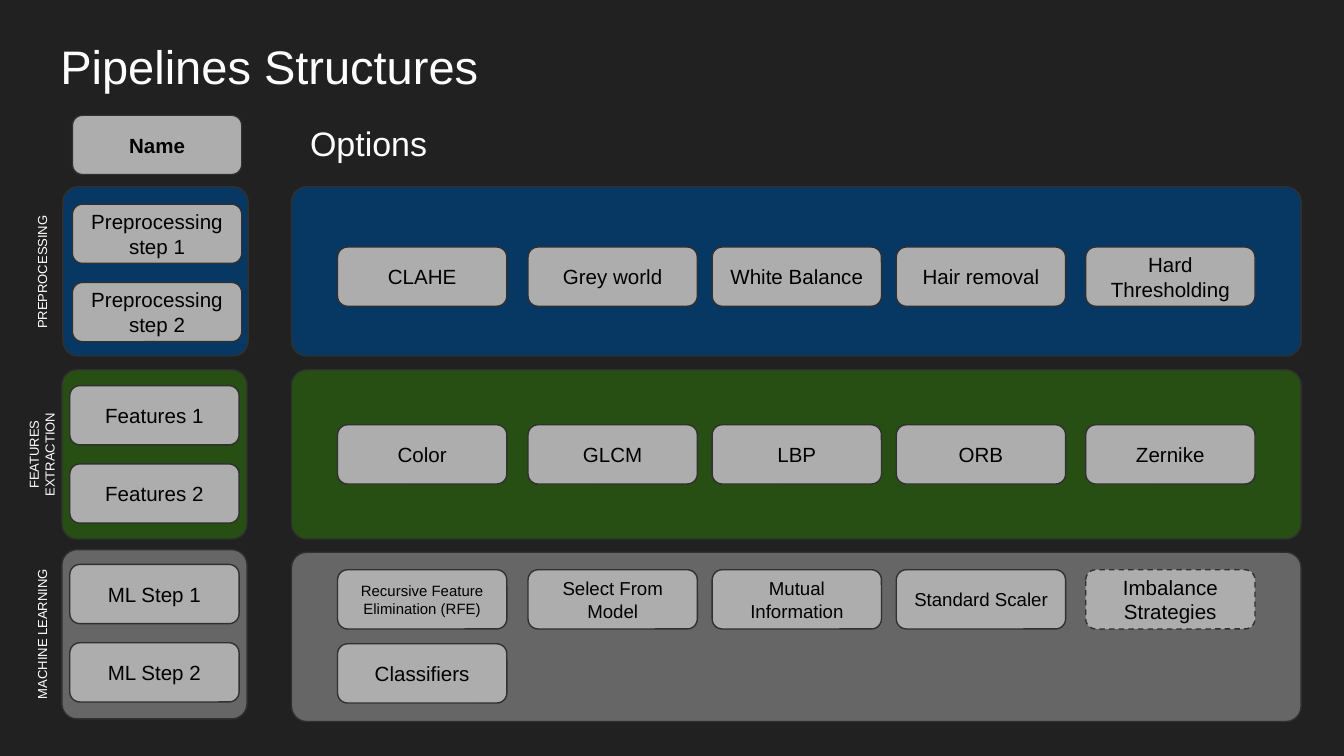
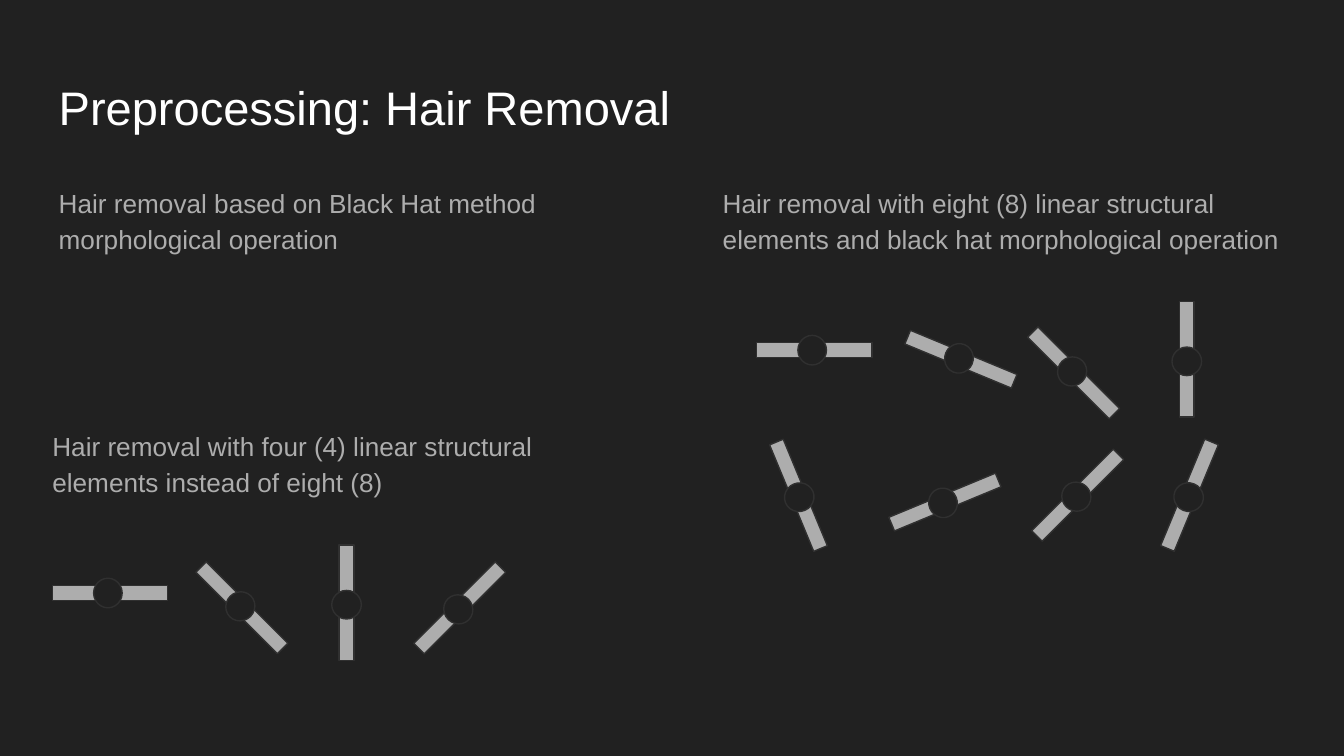
import math

import pptx
import pptx.dml.color
import pptx.enum.dml
import pptx.enum.shapes
import pptx.enum.text
import pptx.util

Cm = pptx.util.Cm
SHAPE = pptx.enum.shapes.MSO_SHAPE
ALIGN = pptx.enum.text.PP_ALIGN
ANCHOR = pptx.enum.text.MSO_ANCHOR

COLORS = {
    "background": "212121",
    "outline": "303030",
    "grey": "ADADAD",
    "white": "FFFFFF",
    "black": "000000",
    "blue": "073763",
    "green": "274E13",
    "dark grey": "666666",
}
FONT = "Arial"
TITLE_SIZE = 25.2


def add_outlined(shapes, kind, left, top, width, height, fill, corner=None):
    shape = shapes.add_shape(kind, Cm(left), Cm(top), Cm(width), Cm(height))
    shape.shadow.inherit = False
    shape.fill.solid()
    shape.fill.fore_color.rgb = pptx.dml.color.RGBColor.from_string(COLORS[fill])
    shape.line.color.rgb = pptx.dml.color.RGBColor.from_string(COLORS["outline"])
    shape.line.width = pptx.util.Pt(0.75)
    if corner is not None:
        shape.adjustments[0] = corner
    return shape


def write(shape, text, size, color, align=ALIGN.LEFT, anchor=ANCHOR.TOP):
    text_frame = shape.text_frame
    text_frame.text = text
    text_frame.word_wrap = True
    text_frame.vertical_anchor = anchor
    text_frame.margin_left = text_frame.margin_right = Cm(0.25)
    text_frame.margin_top = text_frame.margin_bottom = Cm(0.25)
    paragraph = text_frame.paragraphs[0]
    paragraph.alignment = align
    font = paragraph.runs[0].font
    font.name = FONT
    font.size = pptx.util.Pt(size)
    font.color.rgb = pptx.dml.color.RGBColor.from_string(COLORS[color])
    return paragraph


presentation = pptx.Presentation()
presentation.slide_width = Cm(25.4)
presentation.slide_height = Cm(14.29)

# Shared background and title style
titles = [
    ("Pipelines Structures", 0.89, 0.46, 14.45),
    ("Preprocessing: Hair Removal", 0.86, 1.24, 23.67),
]
for title, left, top, width in titles:
    slide = presentation.slides.add_slide(presentation.slide_layouts[6])
    slide.background.fill.solid()
    slide.background.fill.fore_color.rgb = pptx.dml.color.RGBColor.from_string(
        COLORS["background"])
    title_box = slide.shapes.add_textbox(Cm(left), Cm(top), Cm(width), Cm(1.6))
    write(title_box, title, TITLE_SIZE, "white")
pipeline_slide, hair_slide = presentation.slides

# Slide 1: options heading
options_box = pipeline_slide.shapes.add_textbox(Cm(5.61), Cm(2.06), Cm(3.4), Cm(1.24))
write(options_box, "Options", 18.2, "white")

# Slide 1: name panel and options panel of each stage
PANEL_HEIGHT = 3.2
panels = [
    ("blue", 1.19, 3.53, 3.53),
    ("green", 1.17, 6.99, 6.99),
    ("dark grey", 1.17, 10.39, 10.44),
]
for color, left, name_top, options_top in panels:
    for panel_left, top, width in [(left, name_top, 3.5), (5.51, options_top, 19.08)]:
        add_outlined(pipeline_slide.shapes, SHAPE.ROUNDED_RECTANGLE,
                     panel_left, top, width, PANEL_HEIGHT, color, 0.09)

# Slide 1: vertical stage labels
stage_labels = [
    ("PREPROCESSING", -0.46, 4.7, 2.72, 0.81, ALIGN.LEFT),
    ("FEATURES EXTRACTION", -0.84, 8.03, 3.28, 1.12, ALIGN.CENTER),
    ("MACHINE LEARNING", -0.74, 11.58, 3.28, 0.81, ALIGN.CENTER),
]
for text, left, top, width, height, align in stage_labels:
    label = pipeline_slide.shapes.add_textbox(Cm(left), Cm(top), Cm(width), Cm(height))
    label.rotation = 270
    write(label, text, 7, "white", align)
    label.text_frame.auto_size = pptx.enum.text.MSO_AUTO_SIZE.SHAPE_TO_FIT_TEXT

# Slide 1: boxes as (text, left, top, size)
boxes = [("Name", 1.37, 2.18, 11)]
steps = [
    ("Preprocessing step", 1.37, 3.86),
    ("Features", 1.32, 7.29),
    ("ML Step", 1.32, 10.67),
]
for text, left, top in steps:
    for index in range(2):
        boxes.append((f"{text} {index + 1}", left, top + 1.48 * index, 11))

option_lefts = [6.38, 9.98, 13.46, 16.94, 20.52]
option_rows = [
    (4.67, [("CLAHE", 11), ("Grey world", 11), ("White Balance", 11),
            ("Hair removal", 11), ("Hard Thresholding", 11)]),
    (8.03, [("Color", 11), ("GLCM", 11), ("LBP", 11), ("ORB", 11), ("Zernike", 11)]),
    (10.77, [("Recursive Feature Elimination (RFE)", 8), ("Select From Model", 10),
             ("Mutual Information", 10), ("Standard Scaler", 10),
             ("Imbalance Strategies", 11)]),
    (12.17, [("Classifiers", 11)]),
]
for top, options in option_rows:
    for left, (text, size) in zip(option_lefts, options):
        boxes.append((text, left, top, size))

for text, left, top, size in boxes:
    box = add_outlined(pipeline_slide.shapes, SHAPE.ROUNDED_RECTANGLE,
                       left, top, 3.2, 1.12, "grey", 0.17)
    paragraph = write(box, text, size, "black", ALIGN.CENTER, ANCHOR.MIDDLE)
    if text == "Name":
        paragraph.runs[0].font.bold = True
    if text == "Imbalance Strategies":
        box.line.dash_style = pptx.enum.dml.MSO_LINE.DASH

# Slide 2: method descriptions
descriptions = [
    ("Hair removal based on Black Hat method morphological operation", 0.86, 3.2, 3.2),
    ("Hair removal with eight (8) linear structural elements and black hat "
     "morphological operation", 13.41, 3.2, 2.67),
    ("Hair removal with four (4) linear structural elements instead of eight (8)",
     0.74, 7.8, 1.96),
]
for text, left, top, height in descriptions:
    description = hair_slide.shapes.add_textbox(Cm(left), Cm(top), Cm(11.1), Cm(height))
    paragraph = write(description, text, 14, "grey")
    paragraph.line_spacing = 1.15
    paragraph.space_after = pptx.util.Pt(12)

# Slide 2: linear structural elements as (centre x, centre y, angle)
BAR_WIDTH, BAR_HEIGHT = 2.18, 0.28
DOT_WIDTH, DOT_HEIGHT = 0.54, 0.56
DOT_SHIFT = 0.04
elements = [
    # Eight elements
    (15.39, 6.62, 0), (18.16, 6.79, 22.5), (20.29, 7.05, 45), (22.43, 6.79, 270),
    (15.09, 9.36, 247.5), (17.86, 9.49, 337.5), (20.37, 9.36, 315), (22.48, 9.36, 292.5),
    # Four elements
    (2.08, 11.21, 0), (4.57, 11.49, 45), (6.55, 11.39, 270), (8.69, 11.49, 315),
]
for center_x, center_y, angle in elements:
    group = hair_slide.shapes.add_group_shape()
    bar = add_outlined(group.shapes, SHAPE.RECTANGLE, center_x - BAR_WIDTH / 2,
                       center_y - BAR_HEIGHT / 2, BAR_WIDTH, BAR_HEIGHT, "grey")
    # The dot sits slightly before the middle of the bar
    dot_x = center_x - DOT_SHIFT * math.cos(math.radians(angle))
    dot_y = center_y - DOT_SHIFT * math.sin(math.radians(angle))
    dot = add_outlined(group.shapes, SHAPE.OVAL, dot_x - DOT_WIDTH / 2,
                       dot_y - DOT_HEIGHT / 2, DOT_WIDTH, DOT_HEIGHT, "background")
    bar.rotation = dot.rotation = angle

presentation.save("out.pptx")
